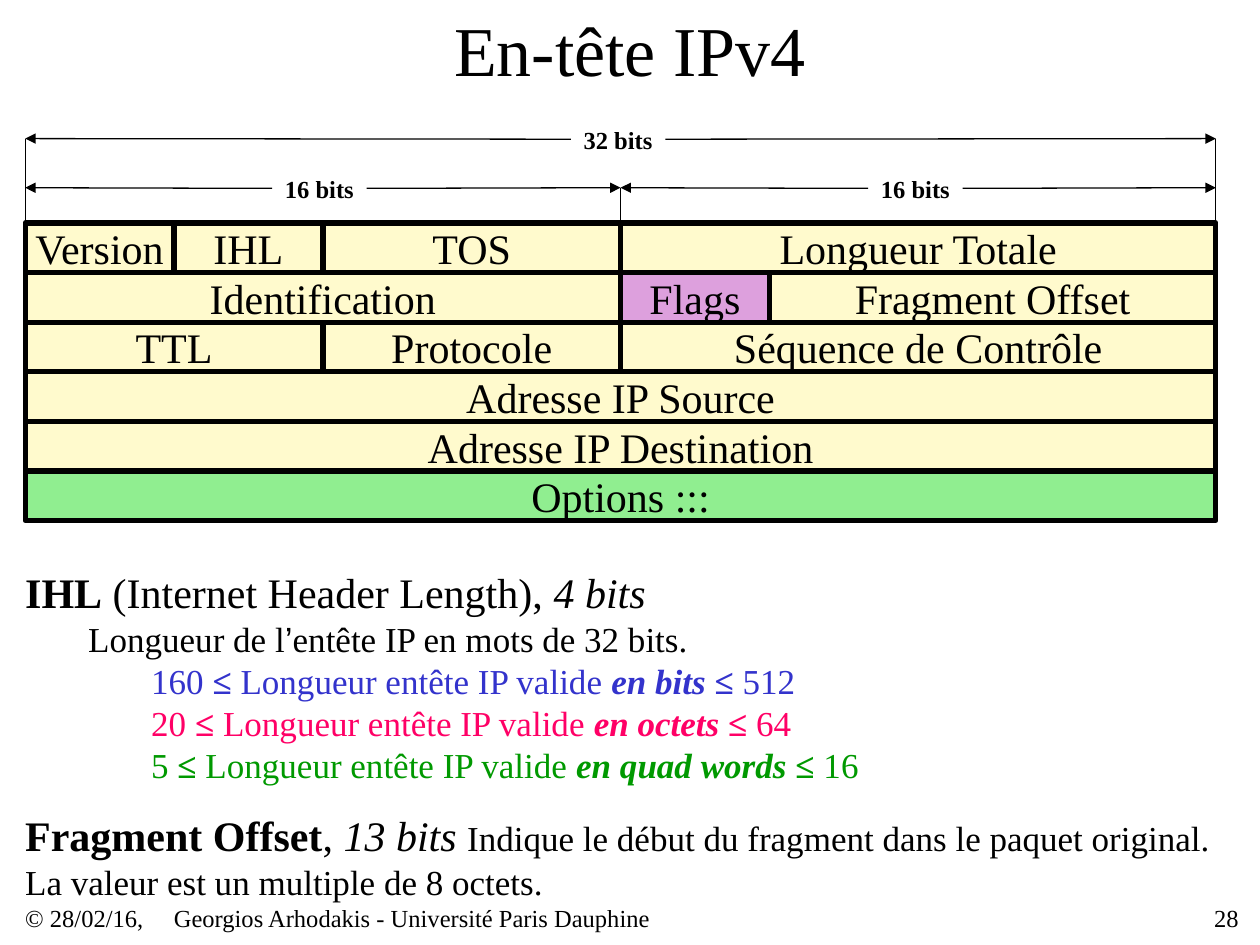
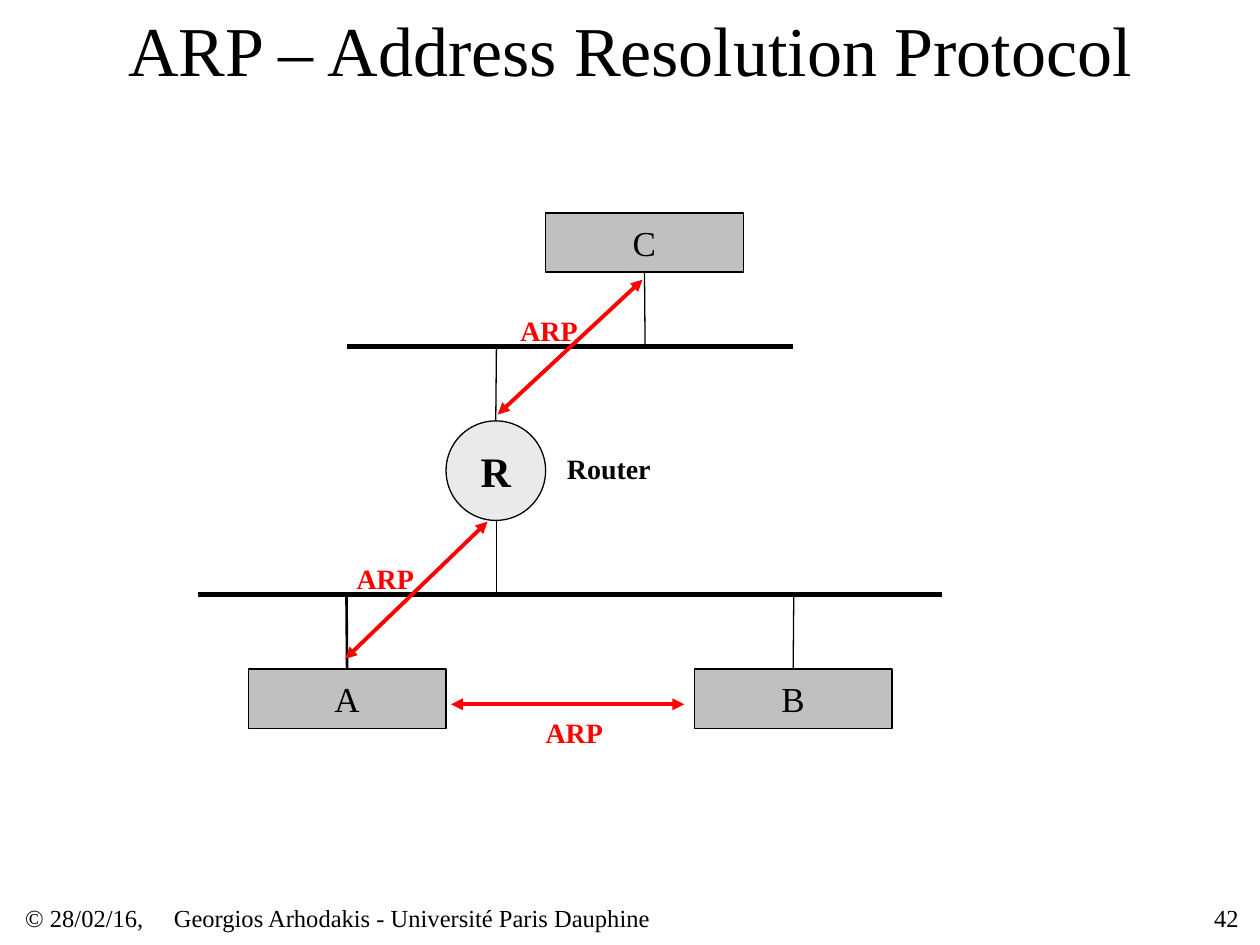
import pptx
import pptx.util
import pptx.dml.color
import pptx.enum.shapes
import pptx.enum.text
import pptx.oxml.ns
from lxml import etree

Inches = pptx.util.Inches
Pt = pptx.util.Pt
RGBColor = pptx.dml.color.RGBColor
MSO_SHAPE = pptx.enum.shapes.MSO_SHAPE
PP_ALIGN = pptx.enum.text.PP_ALIGN
qn = pptx.oxml.ns.qn

# Shared look
FONT = "Times New Roman"
BLACK = RGBColor(0x00, 0x00, 0x00)
RED = RGBColor(0xFF, 0x00, 0x00)
LEMON = RGBColor(0xFF, 0xFA, 0xCD)
PLUM = RGBColor(0xDD, 0xA0, 0xDD)
LIGHT_GREEN = RGBColor(0x90, 0xEE, 0x90)
GREY = RGBColor(0xC0, 0xC0, 0xC0)
PALE_GREY = RGBColor(0xEA, 0xEA, 0xEA)
BLUE = RGBColor(0x33, 0x33, 0xCC)
PINK = RGBColor(0xFF, 0x00, 0x66)
GREEN = RGBColor(0x00, 0x99, 0x00)
MARGIN = 0.2

# Header grid: 8 columns of 4 bits
COL = 9.45 / 8
ROW = COL / 3
HEADER_TOP = 1.77
HEADER_ROWS = [
    [("Version", 1, LEMON), ("IHL", 1, LEMON), ("TOS", 2, LEMON), ("Longueur Totale", 4, LEMON)],
    [("Identification", 4, LEMON), ("Flags", 1, PLUM), ("Fragment Offset", 3, LEMON)],
    [("TTL", 2, LEMON), ("Protocole", 2, LEMON), ("Séquence de Contrôle", 4, LEMON)],
    [("Adresse IP Source", 8, LEMON)],
    [("Adresse IP Destination", 8, LEMON)],
    [("Options :::", 8, LIGHT_GREEN)],
]
LENGTH_LIMITS = [
    ("160", "en bits ", "512", BLUE),
    ("20", "en octets ", "64", PINK),
    ("5", "en quad words ", "16", GREEN),
]


def add_run(p, text, size=20, bold=False, italic=False, color=BLACK, font=FONT):
    r = p.add_run()
    r.text = text
    r.font.name = font
    r.font.size = Pt(size)
    r.font.bold = bold
    r.font.italic = italic
    r.font.color.rgb = color


def setup_frame(tf, wrap=True):
    tf.word_wrap = wrap
    tf.vertical_anchor = pptx.enum.text.MSO_ANCHOR.MIDDLE
    tf.margin_left = tf.margin_right = tf.margin_top = tf.margin_bottom = 0


def add_frame(s, x, y, w, h):
    sp = s.shapes.add_textbox(Inches(x), Inches(y), Inches(w), Inches(h))
    setup_frame(sp.text_frame)
    return sp


def add_text(s, text, x, y, w, h, align=PP_ALIGN.LEFT, **fmt):
    sp = add_frame(s, x, y, w, h)
    p = sp.text_frame.paragraphs[0]
    p.alignment = align
    add_run(p, text, **fmt)
    return sp


def add_box(s, text, x, y, w, h, fill, width=0.75, kind=MSO_SHAPE.RECTANGLE, wrap=True, **fmt):
    sp = s.shapes.add_shape(kind, Inches(x), Inches(y), Inches(w), Inches(h))
    sp.shadow.inherit = False
    sp.fill.solid()
    sp.fill.fore_color.rgb = fill
    sp.line.color.rgb = BLACK
    sp.line.width = Pt(width)
    setup_frame(sp.text_frame, wrap)
    p = sp.text_frame.paragraphs[0]
    p.alignment = PP_ALIGN.CENTER
    add_run(p, text, **fmt)
    return sp


def add_line(s, x1, y1, x2, y2, width=0.75, color=BLACK, arrows=()):
    """arrows holds "headEnd" and/or "tailEnd", in that order."""
    c = s.shapes.add_connector(pptx.enum.shapes.MSO_CONNECTOR.STRAIGHT,
                               Inches(x1), Inches(y1), Inches(x2), Inches(y2))
    c.line.color.rgb = color
    c.line.width = Pt(width)
    ln = c.line._get_or_add_ln()
    for end in arrows:
        etree.SubElement(ln, qn("a:" + end), type="triangle")
    etree.SubElement(c._element.spPr, qn("a:effectLst"))
    return c


def add_slide(prs, title, number, title_x):
    s = prs.slides.add_slide(prs.slide_layouts[6])
    add_text(s, title, title_x, 0, 10 - 2 * title_x, 0.77, PP_ALIGN.CENTER, size=40)
    # Footer
    add_text(s, "© 28/02/16,", MARGIN, 7.16, 1.18, 0.24, size=14)
    add_text(s, "Georgios Arhodakis - Université Paris Dauphine", 1.38, 7.16, 5.9, 0.24, size=14)
    add_text(s, str(number), 7.75, 7.16, 2.08, 0.24, PP_ALIGN.RIGHT, size=14)
    return s


def add_dimension(s, text, left, right, label_x, y):
    """A label with an arrow from each side out to left and right."""
    label = add_text(s, text, label_x, y - 0.11, 0.75, 0.23, PP_ALIGN.CENTER,
                     size=14, bold=True)
    for site, start, end in ((1, label_x, left), (3, label_x + 0.75, right)):
        c = add_line(s, start, y, end, y, arrows=["tailEnd"])
        c.begin_connect(label, site)


def add_level(tf, level):
    p = tf.paragraphs[0] if level == 0 else tf.add_paragraph()
    p.level = level
    pPr = p._p.get_or_add_pPr()
    pPr.set("marL", str(Inches(0.5 * level)))
    pPr.set("indent", "0")
    return p


def ipv4_slide(prs):
    s = add_slide(prs, "En-tête IPv4", 28, 0.75)

    # Header fields
    for i, fields in enumerate(HEADER_ROWS):
        col = 0
        for name, span, fill in fields:
            add_box(s, name, MARGIN + col * COL, HEADER_TOP + i * ROW, span * COL, ROW,
                    fill, width=3, size=24)
            col += span

    # Bit widths
    left, middle, right = (MARGIN + n * COL for n in (0, 4, 8))
    for x in (left, right):
        add_line(s, x, 1.1, x, 2.68)
        add_line(s, x, 1.49, x, 3.07)
    add_line(s, middle, 1.49, middle, 2.08)
    add_dimension(s, "32 bits", left, right, 4.53, 1.1)
    add_dimension(s, "16 bits", left, middle, 2.16, 1.49)
    add_dimension(s, "16 bits", middle, right, 6.89, 1.49)

    # IHL explanation
    tf = add_frame(s, MARGIN, 4.5, 8.12, 1.73).text_frame
    p = add_level(tf, 0)
    add_run(p, "IHL", size=24, bold=True)
    add_run(p, " (Internet Header Length), ", size=24)
    add_run(p, "4 bits", size=24, italic=True)
    p = add_level(tf, 1)
    add_run(p, "Longueur de l")
    add_run(p, "’", font="Arial")
    add_run(p, "entête IP en mots de 32 bits.")
    for low, unit, high, color in LENGTH_LIMITS:
        p = add_level(tf, 2)
        add_run(p, low + " ", color=color)
        add_run(p, "≤", color=color, bold=True)
        add_run(p, " Longueur entête IP valide ", color=color)
        add_run(p, unit, color=color, bold=True, italic=True)
        add_run(p, "≤", color=color, bold=True)
        add_run(p, " " + high, color=color)

    # Fragment Offset explanation
    p = add_frame(s, MARGIN, 6.43, 9.5, 0.73).text_frame.paragraphs[0]
    add_run(p, "Fragment Offset", size=24, bold=True)
    add_run(p, ", ", size=24)
    add_run(p, "13 bits ", size=24, italic=True)
    add_run(p, "Indique le début du fragment dans le paquet original. "
               "La valeur est un multiple de 8 octets.")


def arp_slide(prs):
    s = add_slide(prs, "ARP – Address Resolution Protocol", 42, 0.33)

    # Hosts and router
    host_a, host_b, host_c = (
        add_box(s, name, x, y, 1.57, 0.47, GREY)
        for name, x, y in (("A", 1.97, 5.31), ("B", 5.51, 5.31), ("C", 4.33, 1.69)))
    router = add_box(s, "R", 3.54, 3.34, 0.79, 0.79, PALE_GREY, kind=MSO_SHAPE.OVAL,
                     wrap=False, size=24, bold=True)
    add_text(s, "Router", 4.5, 3.58, 0.67, 0.28, size=16, bold=True)

    # Networks, in equal segments
    for start, y, count in ((2.75, 2.75, 3), (1.57, 4.72, 5)):
        for i in range(count):
            x = start + i * COL
            add_line(s, x, y, x + COL, y, width=3)

    # Links to the networks
    for node, site, x, y1, y2, width in (
            (host_a, 0, 2.75, 5.31, 4.74, 1.5), (host_b, 0, 6.3, 5.31, 4.7, 0.75),
            (host_c, 2, 5.12, 2.16, 2.73, 0.75), (router, 0, 3.94, 3.34, 2.77, 0.75)):
        add_line(s, x, y1, x, y2, width).begin_connect(node, site)
    add_line(s, 3.94, 4.13, 3.94, 4.7)

    # ARP exchanges
    for ends, x, y in (((3.95, 3.29, 5.1, 2.22), 4.13, 2.48),
                       ((2.74, 5.23, 3.87, 4.14), 2.83, 4.45),
                       ((3.58, 5.59, 5.43, 5.59), 4.33, 5.67)):
        add_line(s, *ends, width=2.25, color=RED, arrows=["headEnd", "tailEnd"])
        add_text(s, "ARP", x, y, 0.47, 0.28, size=16, bold=True, color=RED)


def main():
    prs = pptx.Presentation()
    prs.slide_width = Inches(10)
    prs.slide_height = Inches(7.5)
    ipv4_slide(prs)
    arp_slide(prs)
    prs.save("out.pptx")


if __name__ == "__main__":
    main()
